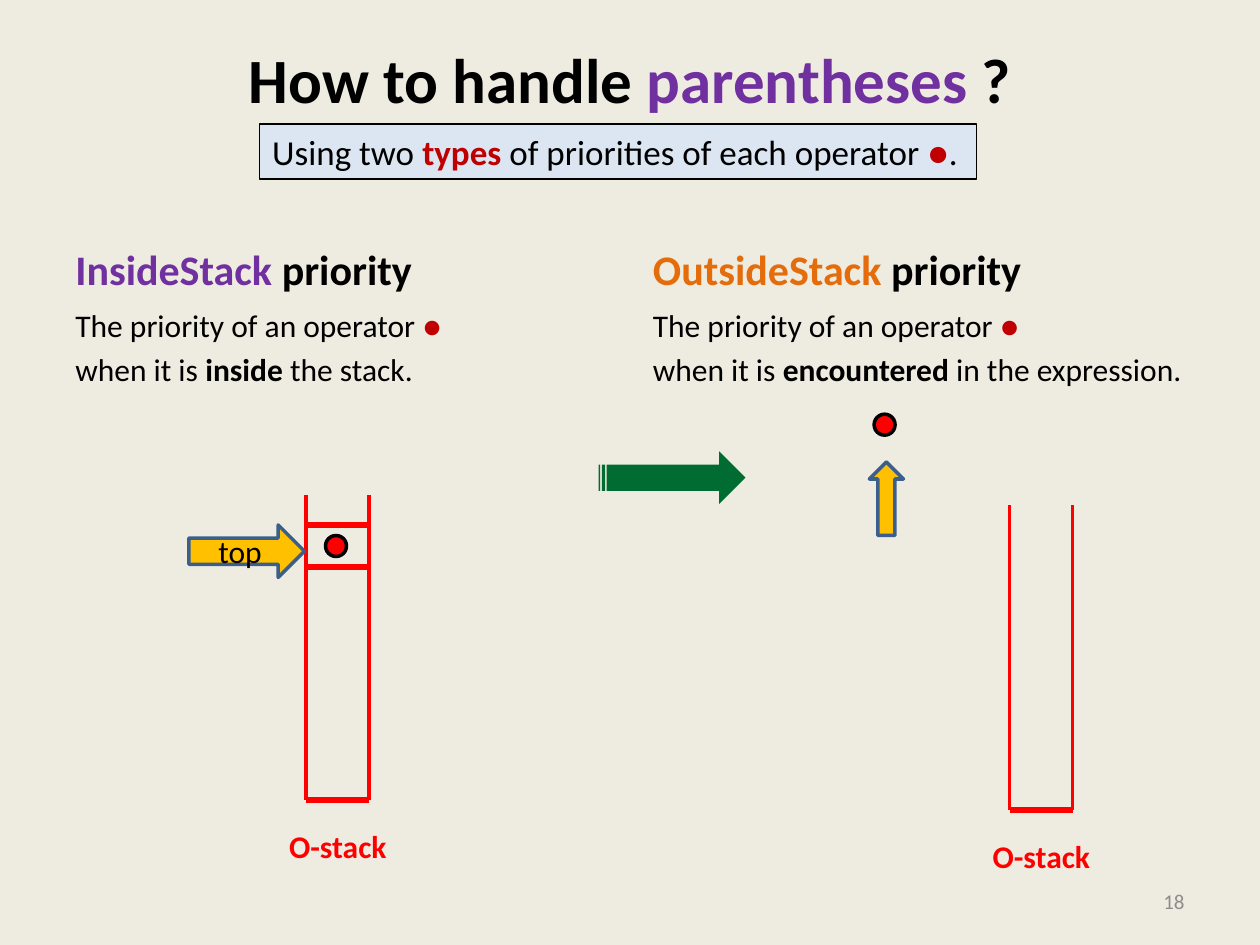
from dataclasses import dataclass
from typing import NamedTuple, Optional

from lxml.etree import SubElement
from pptx import Presentation
from pptx.dml.color import RGBColor
from pptx.enum.shapes import MSO_CONNECTOR, MSO_SHAPE as Shape
from pptx.enum.text import MSO_ANCHOR as Anchor, PP_ALIGN as Align
from pptx.oxml.ns import qn
from pptx.util import Inches, Pt


@dataclass(frozen=True)
class Theme:
    font: str = "Calibri"
    page: str = "EEECE1"
    ink: str = "000000"
    purple: str = "7030A0"
    orange: str = "E46C0A"
    dark_red: str = "C00000"
    red: str = "FF0000"
    amber: str = "FFC000"
    blue: str = "3A5F8C"
    pale_blue: str = "DCE6F2"
    green: str = "006C31"
    grey: str = "8C8C8C"
    title: int = 36
    heading: int = 24
    banner: int = 20
    body: int = 18
    small: int = 12


class Area(NamedTuple):
    """A place on a grid of 120 columns by 90 rows."""
    column: float
    row: float
    columns: float
    rows: float


class Span(NamedTuple):
    text: str
    color: str = Theme.ink
    bold: bool = False


class Priority(NamedTuple):
    column: float
    name: str
    color: str
    moment: str
    ending: str


class Stack(NamedTuple):
    column: float
    row: float


THEME = Theme()
COLUMNS, ROWS = 120, 90
DOT = "●"

PRIORITIES = [
    Priority(6, "InsideStack ", THEME.purple, "inside", " the stack."),
    Priority(61, "OutsideStack ", THEME.orange, "encountered", " in the expression."),
]
STACKS = [Stack(29.15, 47.15), Stack(96.15, 48.1)]

deck = Presentation()
deck.slide_width, deck.slide_height = Inches(10), Inches(7.5)
page = deck.slides.add_slide(deck.slide_layouts[6])
page.background.fill.solid()
page.background.fill.fore_color.rgb = RGBColor.from_string(THEME.page)


def across(columns: float) -> int:
    return round(deck.slide_width * columns / COLUMNS)


def down(rows: float) -> int:
    return round(deck.slide_height * rows / ROWS)


def place(area: Area) -> tuple[int, int, int, int]:
    return across(area.column), down(area.row), across(area.columns), down(area.rows)


def write(box, lines: list[list[Span]], size: int, align=Align.LEFT,
          anchor=Anchor.TOP, wrap: bool = True) -> None:
    frame = box.text_frame
    frame.word_wrap = wrap
    frame.vertical_anchor = anchor
    for index, line in enumerate(lines):
        para = frame.add_paragraph() if index else frame.paragraphs[0]
        para.alignment = align
        para.space_before = Pt(0.2 * size if index else 0)
        para.font.name, para.font.size = THEME.font, Pt(size)
        for span in line:
            run = para.add_run()
            run.text = span.text
            run.font.bold = span.bold
            run.font.color.rgb = RGBColor.from_string(span.color)


def add_text(area: Area, lines: list[list[Span]], size: int, **layout):
    box = page.shapes.add_textbox(*place(area))
    write(box, lines, size, **layout)
    return box


def add_shape(kind: Shape, area: Area, fill: str,
              line: Optional[str] = None, width: float = 2):
    shape = page.shapes.add_shape(kind, *place(area))
    shape.shadow.inherit = False
    shape.fill.solid()
    shape.fill.fore_color.rgb = RGBColor.from_string(fill)
    if line:
        shape.line.color.rgb = RGBColor.from_string(line)
        shape.line.width = Pt(width)
    else:
        shape.line.fill.background()
    return shape


def add_line(column: float, row: float, columns: float, rows: float, width: float) -> None:
    line = page.shapes.add_connector(
        MSO_CONNECTOR.STRAIGHT, across(column), down(row),
        across(column + columns), down(row + rows))
    line.line.color.rgb = RGBColor.from_string(THEME.red)
    line.line.width = Pt(width)
    SubElement(line._element.spPr, qn("a:effectLst"))


def add_operator(column: float, row: float) -> None:
    add_shape(Shape.OVAL, Area(column, row, 2, 2), THEME.red, THEME.ink)


def add_priority(item: Priority) -> None:
    add_text(Area(item.column, 20.15, 53, 8.4),
             [[Span(item.name, item.color, True), Span("priority", bold=True)]],
             THEME.heading, anchor=Anchor.BOTTOM)
    add_text(Area(item.column, 28.55, 53, 51.85),
             [[Span("The priority of an operator "), Span(DOT, THEME.dark_red)],
              [Span("when it is "), Span(item.moment, bold=True), Span(item.ending)]],
             THEME.body)


def add_stack(stack: Stack, columns: float = 6, rows: float = 29.05) -> None:
    for side in (0, columns):
        add_line(stack.column + side, stack.row, 0, rows, 2.25)
    add_line(stack.column, stack.row + rows, columns, 0, 3)
    add_text(Area(stack.column - 6.35, stack.row + 31, 15.2, 4.85),
             [[Span("O-stack", THEME.red, True)]], THEME.body, align=Align.RIGHT)


# Title
title = add_text(Area(6, 3.6, 108, 15),
                 [[Span("How to handle ", bold=True),
                   Span("parentheses ", THEME.purple, True), Span("?", bold=True)]],
                 THEME.title, align=Align.CENTER)
title.text_frame.margin_top = Inches(0.02)

# The two kinds of priority and their stacks
for priority in PRIORITIES:
    add_priority(priority)
for stack in STACKS:
    add_stack(stack)

# Operator on top of the left stack
for row in (50, 54):
    add_line(29, row, 6, 0, 3)
add_operator(31, 51)
top_arrow = add_shape(Shape.RIGHT_ARROW, Area(18, 50, 11, 5), THEME.amber, THEME.blue)
write(top_arrow, [[Span("top")]], THEME.body, align=Align.CENTER, anchor=Anchor.MIDDLE)

# Operator met in the expression
add_shape(Shape.UP_ARROW, Area(82.8, 44, 3.25, 7), THEME.amber, THEME.blue)
add_shape(Shape.STRIPED_RIGHT_ARROW, Area(57, 43, 14, 5), THEME.green)
add_operator(83.25, 39.45)

# Banner under the title
banner = add_shape(Shape.RECTANGLE, Area(24.75, 11.8, 68.25, 5.25),
                   THEME.pale_blue, THEME.ink, 0.75)
write(banner, [[Span("Using two "), Span("types", THEME.dark_red, True),
                Span(" of priorities of each operator "),
                Span(DOT, THEME.dark_red), Span(".")]], THEME.banner, wrap=False)

# Slide number
add_text(Area(86, 83.4, 28, 4.8), [[Span("18", THEME.grey)]], THEME.small,
         align=Align.RIGHT, anchor=Anchor.MIDDLE)

deck.save("out.pptx")
